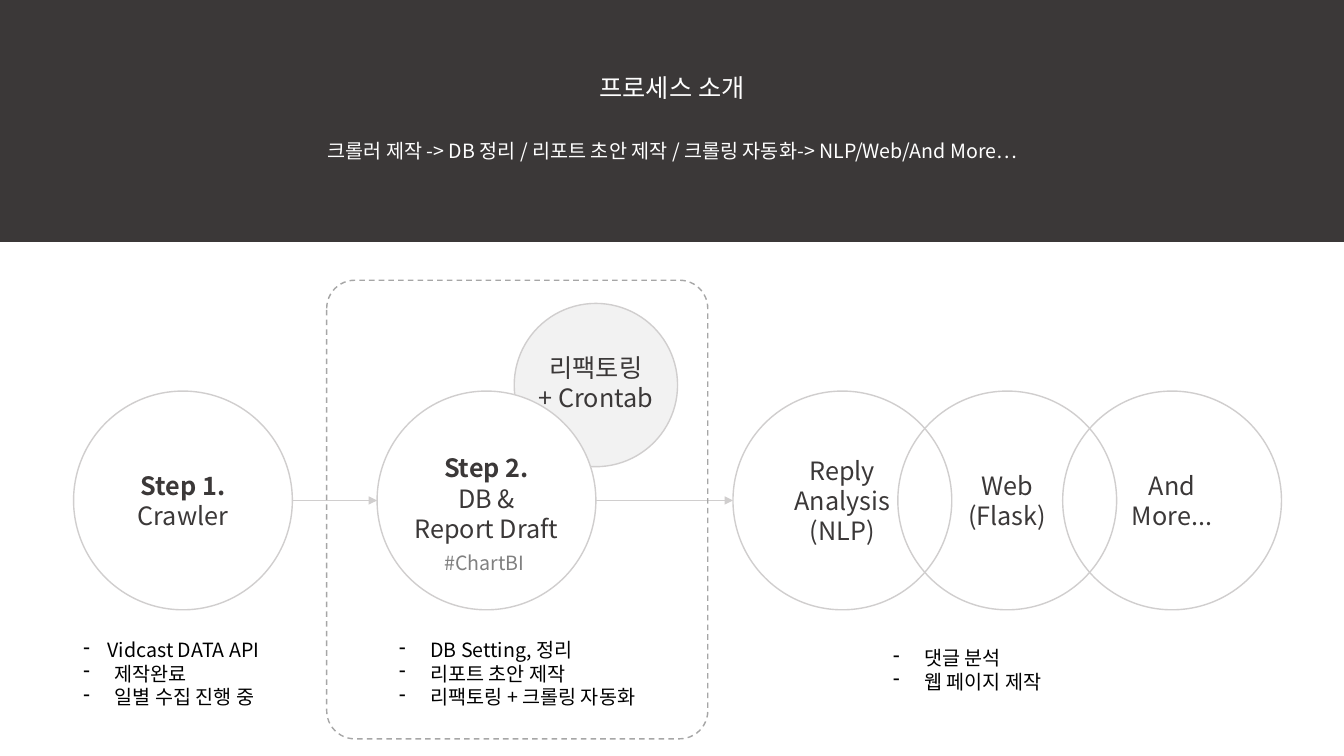
from dataclasses import dataclass
from lxml.etree import SubElement
from pptx import Presentation
from pptx.dml.color import RGBColor
from pptx.enum.dml import MSO_LINE_DASH_STYLE as Dash
from pptx.enum.shapes import MSO_CONNECTOR as Connector, MSO_SHAPE as Preset
from pptx.enum.text import MSO_ANCHOR as Anchor, PP_ALIGN as Align
from pptx.oxml.ns import qn
from pptx.util import Inches, Pt


@dataclass(frozen=True)
class Theme:
    font: str = "Noto Sans CJK KR"
    dark: str = "3B3838"
    white: str = "FFFFFF"
    black: str = "000000"
    pale: str = "F2F2F2"
    ring: str = "D0CECE"
    frame: str = "A6A6A6"
    tag: str = "808080"
    large: int = 18
    small: int = 14


theme = Theme()

heading = "프로세스 소개"
summary = "크롤러 제작 -> DB 정리 / 리포트 초안 제작 / 크롤링 자동화-> NLP/Web/And More…"
refactoring = ["리팩토링", "+ Crontab"]
crawler = ["Step 1.", "Crawler"]
report = ["Step 2.", "DB &", "Report Draft"]
report_tag = "#ChartBI"
extensions = [["Reply", "Analysis", "(NLP)"], ["Web", "(Flask)"], ["And", "More..."]]
crawler_notes = ["Vidcast DATA API", "제작완료", "일별 수집 진행 중"]
report_notes = ["DB Setting, 정리", "리포트 초안 제작", "리팩토링 + 크롤링 자동화"]
extension_notes = ["댓글 분석", "웹 페이지 제작"]

WIDTH, HEIGHT = 13.33, 7.5
BAND = 0.32 * HEIGHT
DIAMETER, SATELLITE = 2.17, 1.62
RING_TOP = 3.88
AXIS = RING_TOP + DIAMETER / 2
CRAWLER_X, REPORT_X, EXTENSION_X = 0.73, 3.74, 7.27
EXTENSION_STEP = 1.635
NOTE_TOP, NOTE_LINE = 6.28, 0.235
INDENT, FIRST_INDENT = 0.31, 0.24

deck = Presentation()
deck.slide_width, deck.slide_height = Inches(WIDTH), Inches(HEIGHT)
slide = deck.slides.add_slide(deck.slide_layouts[5])
shapes = slide.shapes


def box(left, top, width, height):
    return [Inches(length) for length in (left, top, width, height)]


def color(value):
    return RGBColor.from_string(value)


def write(target, lines, size, ink, align=Align.CENTER, bold_first=False, indents=None):
    frame = target.text_frame
    frame.text = "\n".join(lines)
    for index, paragraph in enumerate(frame.paragraphs):
        paragraph.alignment = align
        properties = paragraph._p.get_or_add_pPr()
        if indents:
            indent = Inches(indents[index])
            properties.set("marL", str(indent))
            properties.set("indent", str(-indent))
            SubElement(properties, qn("a:buChar")).set("char", "-")
        font = paragraph.font
        font.size = Pt(size)
        font.bold = bold_first and index == 0
        font.color.rgb = color(ink)
        font.name = theme.font
        east_asian = SubElement(properties.find(qn("a:defRPr")), qn("a:ea"))
        east_asian.set("typeface", theme.font)


def panel(preset, bounds, fill=None, line=None):
    shape = shapes.add_shape(preset, *box(*bounds))
    shape.shadow.inherit = False
    if fill:
        shape.fill.solid()
        shape.fill.fore_color.rgb = color(fill)
    else:
        shape.fill.background()
    if line:
        shape.line.color.rgb = color(line)
        shape.line.width = Pt(1)
    else:
        shape.line.fill.background()
    return shape


def circle(left, top, diameter, lines, fill=None, bold_first=False, raised=False):
    shape = panel(Preset.OVAL, (left, top, diameter, diameter), fill, theme.ring)
    frame = shape.text_frame
    frame.word_wrap = False
    frame.vertical_anchor = Anchor.MIDDLE
    if raised:
        frame.margin_top = 0
    write(shape, lines, theme.large, theme.dark, bold_first=bold_first)


def label(bounds, lines, ink, **style):
    text = shapes.add_textbox(*box(*bounds))
    text.text_frame.word_wrap = True
    write(text, lines, theme.small, ink, **style)


def notes(left, top, width, lines, first_indent=INDENT):
    indents = [first_indent] + [INDENT] * (len(lines) - 1)
    label((left, top, width, 0.1 + NOTE_LINE * len(lines)), lines, theme.black,
          align=Align.LEFT, indents=indents)


def arrow(start, end):
    link = shapes.add_connector(
        Connector.STRAIGHT, Inches(start), Inches(AXIS), Inches(end), Inches(AXIS))
    link.line.color.rgb = color(theme.ring)
    link.line.width = Pt(0.5)
    SubElement(link.line._get_or_add_ln(), qn("a:tailEnd")).set("type", "triangle")
    SubElement(link._element.spPr, qn("a:effectLst"))


circle(5.1, 3.01, SATELLITE, refactoring, theme.pale, raised=True)
panel(Preset.RECTANGLE, (0, 0, WIDTH, BAND), theme.dark)

title = shapes.title
title.left, title.top, title.width, title.height = box(0, 0.67, WIDTH, 0.4)
title.text_frame.vertical_anchor = Anchor.MIDDLE
write(title, [heading], theme.large, theme.white)
shapes._spTree.append(title._element)
label((2.82, 1.33, 7.7, 0.34), [summary], theme.white)

circle(CRAWLER_X, RING_TOP, DIAMETER, crawler, bold_first=True)
arrow(CRAWLER_X + DIAMETER, REPORT_X)
circle(REPORT_X, RING_TOP, DIAMETER, report, theme.white, bold_first=True, raised=True)
arrow(REPORT_X + DIAMETER, EXTENSION_X)
label((4.01, 5.42, 1.59, 0.34), [report_tag], theme.tag)
for position, extension in enumerate(extensions):
    circle(EXTENSION_X + position * EXTENSION_STEP, RING_TOP, DIAMETER, extension)

notes(CRAWLER_X, NOTE_TOP, DIAMETER, crawler_notes, FIRST_INDENT)
notes(3.86, NOTE_TOP, 2.86, report_notes)
notes(8.76, NOTE_TOP + 0.08, 2.86, extension_notes)

step_frame = panel(Preset.ROUNDED_RECTANGLE, (3.24, 2.78, 3.78, 4.55), line=theme.frame)
step_frame.adjustments[0] = 0.074
step_frame.line.dash_style = Dash.DASH

deck.save("out.pptx")
